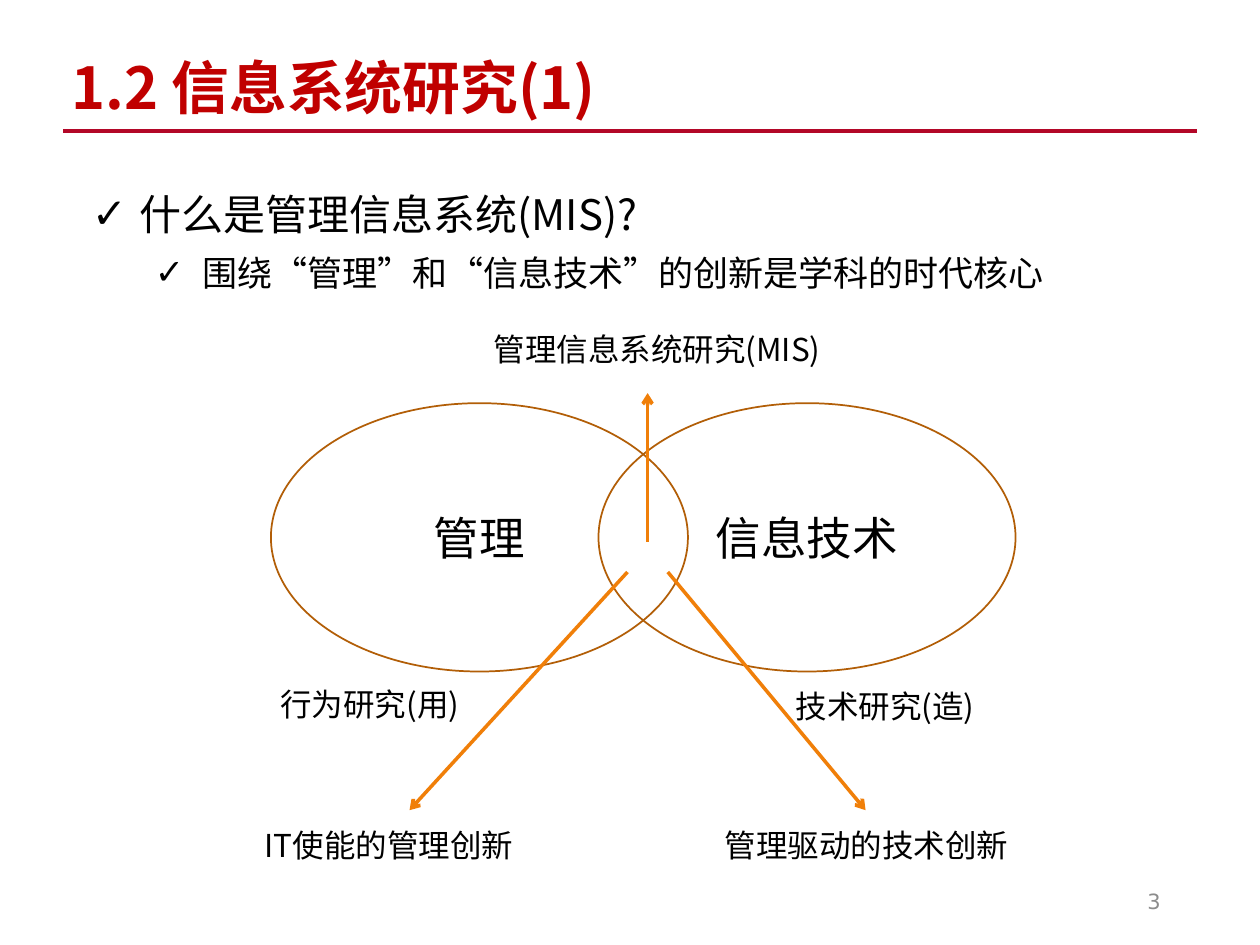
from pptx import Presentation
from pptx.dml.color import RGBColor
from pptx.enum.shapes import MSO_CONNECTOR, MSO_SHAPE
from pptx.enum.text import MSO_ANCHOR, PP_ALIGN
from pptx.oxml.ns import qn
from pptx.util import Inches, Pt
from lxml.etree import SubElement

HUES = {"title": "C00000", "rule": "B30728", "text": "000000",
        "oval": "B25E07", "arrow": "F07F09", "page": "8C8C8C"}
FONT = "Noto Sans CJK SC"
SANS = "DejaVu Sans"


class Deck:
    def __init__(self):
        self.prs = Presentation()
        self.prs.slide_width = Inches(10)
        self.prs.slide_height = Inches(7.5)
        self.slide = self.prs.slides.add_slide(self.prs.slide_layouts[6])

    def hue(self, name):
        return RGBColor.from_string(HUES[name])

    def style(self, para, size, hue="text", bold=False, face=FONT):
        for run in para.runs:
            font = run.font
            font.size = Pt(size)
            font.bold = bold
            font.color.rgb = self.hue(hue)
            font.name = face
            SubElement(font._element, qn("a:ea"), typeface=face)

    def box(self, left, top, width, height):
        area = self.slide.shapes.add_textbox(
            Inches(left), Inches(top), Inches(width), Inches(height))
        area.text_frame.word_wrap = True
        return area.text_frame

    def label(self, text, left, top, width, height, size,
              align=PP_ALIGN.CENTER, anchor=MSO_ANCHOR.TOP, **look):
        frame = self.box(left, top, width, height)
        frame.text = text
        frame.vertical_anchor = anchor
        para = frame.paragraphs[0]
        para.alignment = align
        self.style(para, size, **look)

    def bullets(self, items, left, top, width, height):
        frame = self.box(left, top, width, height)
        frame.text = "\n".join(text for text, size in items)
        for level, (para, item) in enumerate(zip(frame.paragraphs, items)):
            para.level = level
            para.line_spacing = 1.3
            self.style(para, item[1])
            props = para._p.get_or_add_pPr()
            props.set("marL", str(Inches(0.38 + 0.5 * level)))
            props.set("indent", str(Inches(-0.38)))
            SubElement(props, qn("a:buFont"), typeface=SANS)
            SubElement(props, qn("a:buChar"), char="✓")
            tabs = SubElement(props, qn("a:tabLst"))
            SubElement(tabs, qn("a:tab"), pos=str(Inches(0.5)), algn="l")

    def oval(self, text, left, top, width, height):
        shape = self.slide.shapes.add_shape(
            MSO_SHAPE.OVAL, Inches(left), Inches(top),
            Inches(width), Inches(height))
        shape.shadow.inherit = False
        shape.fill.background()
        shape.line.color.rgb = self.hue("oval")
        shape.line.width = Pt(1)
        frame = shape.text_frame
        frame.text = text
        frame.vertical_anchor = MSO_ANCHOR.MIDDLE
        para = frame.paragraphs[0]
        para.alignment = PP_ALIGN.CENTER
        self.style(para, 26)

    def line(self, start, end, hue, head=False):
        link = self.slide.shapes.add_connector(
            MSO_CONNECTOR.STRAIGHT, *map(Inches, start + end))
        link.line.color.rgb = self.hue(hue)
        link.line.width = Pt(2)
        if head:
            SubElement(link.line._get_or_add_ln(), qn("a:tailEnd"), type="arrow")
        SubElement(link._element.spPr, qn("a:effectLst"))


def main():
    deck = Deck()
    deck.line((0.5, 1.04), (9.5, 1.04), "rule")
    deck.label("1.2 信息系统研究(1)", 0.47, 0.36, 9.02, 0.66, 33,
               align=PP_ALIGN.LEFT, hue="title", bold=True)
    deck.bullets([("什么是管理信息系统(MIS)?", 24),
                  ("围绕“管理”和“信息技术”的创新是学科的时代核心", 20)],
                 0.63, 1.33, 8.82, 1.02)
    for text, left in (("管理", 2.15), ("信息技术", 4.75)):
        deck.oval(text, left, 3.2, 3.31, 2.13)
    for start, end in (((4.98, 4.54), (3.25, 6.43)),
                       ((5.3, 4.54), (6.87, 6.43)),
                       ((5.14, 4.3), (5.14, 3.12))):
        deck.line(start, end, "arrow", head=True)
    for text, left, top in (("IT使能的管理创新", 1.59, 6.51),
                            ("管理驱动的技术创新", 5.38, 6.51),
                            ("行为研究(用)", 1.44, 5.39),
                            ("技术研究(造)", 5.53, 5.4),
                            ("管理信息系统研究(MIS)", 3.72, 2.57)):
        deck.label(text, left, top, 2.99, 0.4, 18)
    deck.label("3", 7.06, 6.95, 2.25, 0.4, 12, align=PP_ALIGN.RIGHT,
               anchor=MSO_ANCHOR.MIDDLE, hue="page", face=SANS)
    deck.prs.save("out.pptx")


if __name__ == "__main__":
    main()
